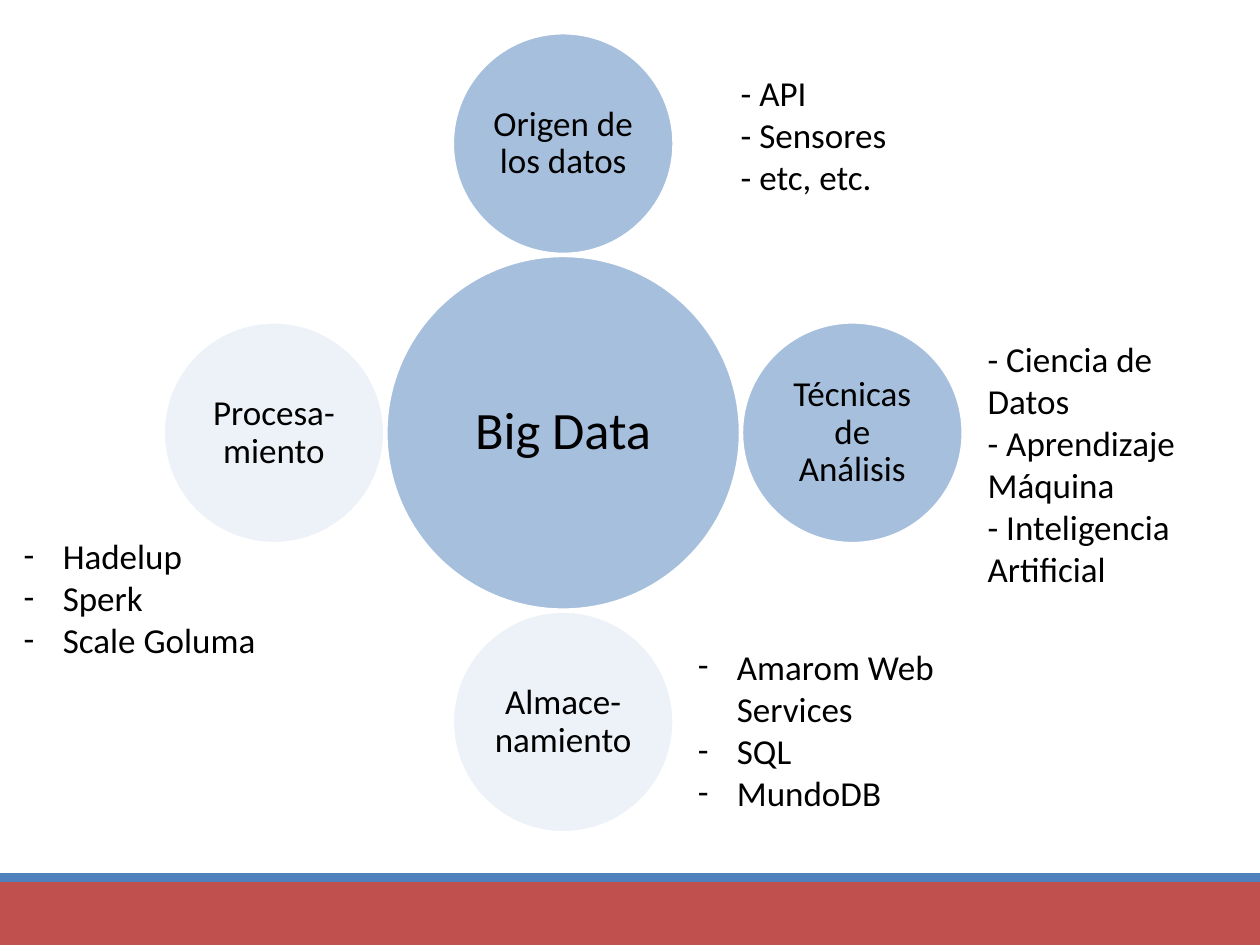
"""Build a hub-and-satellites slide about the parts of Big Data."""
from dataclasses import dataclass

from lxml.etree import SubElement
from pptx import Presentation
from pptx.dml.color import RGBColor
from pptx.enum.shapes import MSO_SHAPE as Preset
from pptx.enum.text import MSO_ANCHOR as Anchor, MSO_AUTO_SIZE as AutoSize, PP_ALIGN as Align
from pptx.oxml.ns import qn
from pptx.util import Inches, Pt

WIDTH, HEIGHT = Inches(10), Inches(7.5)
COLUMNS, ROWS = 100, 75
BLUE, PALE, RED, WHITE, BLACK = "4F81BD", "DCE6F2", "C0504D", "FFFFFF", "000000"
HUB_COLUMN, HUB_ROW, ORBIT = 44.7, 34.35, 22.95
HUB_SIZE, SATELLITE_SIZE = 28.15, 17.6
INDENT = Inches(0.31)


@dataclass(frozen=True)
class Bar:
    row: float
    rows: float
    color: str


@dataclass(frozen=True)
class Circle:
    label: str
    color: str
    across: int = 0
    down: int = 0
    size: float = SATELLITE_SIZE
    points: int = 20
    inset: float = 0.03


@dataclass(frozen=True)
class Listing:
    column: float
    row: float
    columns: float
    rows: float
    items: tuple[str, ...]
    bulleted: bool = False


BARS = (Bar(70, 5, RED), Bar(69.3, 0.7, BLUE))
CIRCLES = (
    Circle("Big Data", BLUE, size=HUB_SIZE, points=30, inset=0.04),
    Circle("Origen de los datos", BLUE, down=-1),
    Circle("Técnicas de Análisis", BLUE, across=1),
    Circle("Almace-namiento", PALE, down=1),
    Circle("Procesa-miento", PALE, across=-1),
)
LISTINGS = (
    Listing(57.8, 5.2, 15.6, 11.1, ("- API", "- Sensores", "- etc, etc.")),
    Listing(77.4, 26.3, 18.3, 24.6,
            ("- Ciencia de Datos", "- Aprendizaje Máquina", "- Inteligencia Artificial")),
    Listing(54.4, 50.7, 27.4, 14.5, ("Amarom Web Services", "SQL", "MundoDB"), True),
    Listing(0.9, 41.9, 27.4, 11.1, ("Hadelup", "Sperk", "Scale Goluma"), True),
)


def rgb(color: str) -> RGBColor:
    """Turn a hex string into a colour."""
    return RGBColor.from_string(color)


def place(column: float, row: float, columns: float, rows: float) -> tuple[int, ...]:
    """Turn grid cells into left, top, width and height."""
    across, down = WIDTH / COLUMNS, HEIGHT / ROWS
    return tuple(round(n) for n in (column * across, row * down, columns * across, rows * down))


def apply(target, **values) -> None:
    """Set each named attribute on the target."""
    for name, value in values.items():
        setattr(target, name, value)


def write(paragraph, text: str, points: int) -> None:
    """Add one black run of text to a paragraph."""
    run = paragraph.add_run()
    apply(run, text=text)
    apply(run.font, name="Calibri", size=Pt(points))
    run.font.color.rgb = rgb(BLACK)


def add_filled(slide, preset: Preset, box: tuple[int, ...], color: str):
    """Add a flat filled shape without an outline."""
    shape = slide.shapes.add_shape(preset, *box)
    shape.shadow.inherit = False
    shape.fill.solid()
    shape.fill.fore_color.rgb = rgb(color)
    shape.line.fill.background()
    return shape


def add_bar(slide, bar: Bar) -> None:
    """Draw a footer bar across the slide."""
    add_filled(slide, Preset.RECTANGLE, place(0, bar.row, COLUMNS, bar.rows), bar.color)


def add_circle(slide, circle: Circle) -> None:
    """Draw a half-transparent labelled circle around the hub."""
    column = HUB_COLUMN + circle.across * ORBIT - circle.size / 2
    row = HUB_ROW + circle.down * ORBIT - circle.size / 2
    shape = add_filled(slide, Preset.OVAL, place(column, row, circle.size, circle.size),
                       circle.color)
    color = shape.fill._xPr.find(qn("a:solidFill"))[0]
    SubElement(color, qn("a:alpha"), val="50000")
    shape.line.color.rgb = rgb(WHITE)
    shape.line.width = Pt(2)
    frame = shape.text_frame
    margins = {f"margin_{side}": Inches(circle.inset)
               for side in ("left", "top", "right", "bottom")}
    apply(frame, word_wrap=True, vertical_anchor=Anchor.MIDDLE, **margins)
    paragraph = frame.paragraphs[0]
    apply(paragraph, alignment=Align.CENTER, line_spacing=0.9)
    write(paragraph, circle.label, circle.points)


def add_dash(paragraph) -> None:
    """Give a paragraph a hanging dash bullet."""
    properties = paragraph._p.get_or_add_pPr()
    properties.set("marL", str(INDENT))
    properties.set("indent", str(-INDENT))
    SubElement(properties, qn("a:buFont"), typeface="Calibri")
    SubElement(properties, qn("a:buChar"), char="-")


def add_listing(slide, listing: Listing) -> None:
    """Write a list of items beside its circle."""
    box = place(listing.column, listing.row, listing.columns, listing.rows)
    frame = slide.shapes.add_textbox(*box).text_frame
    apply(frame, word_wrap=True, auto_size=AutoSize.SHAPE_TO_FIT_TEXT)
    for index, item in enumerate(listing.items):
        paragraph = frame.add_paragraph() if index else frame.paragraphs[0]
        if listing.bulleted:
            add_dash(paragraph)
        write(paragraph, item, 20)


def main() -> None:
    """Build and save the presentation."""
    presentation = Presentation()
    apply(presentation, slide_width=WIDTH, slide_height=HEIGHT)
    slide = presentation.slides.add_slide(presentation.slide_layouts[6])
    for draw, elements in ((add_bar, BARS), (add_circle, CIRCLES), (add_listing, LISTINGS)):
        for element in elements:
            draw(slide, element)
    presentation.save("out.pptx")


if __name__ == "__main__":
    main()
